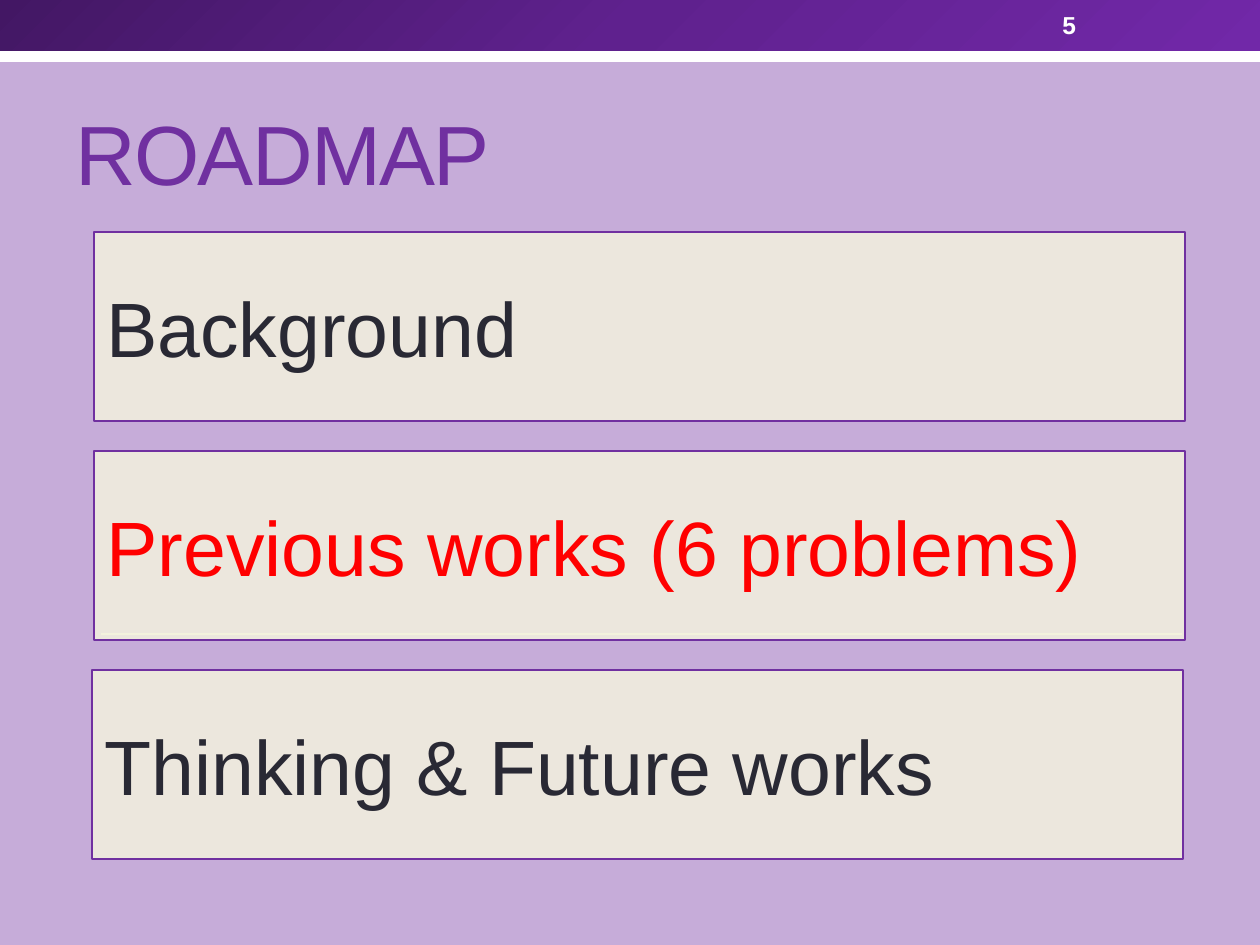
from copy import deepcopy

from lxml.etree import SubElement
from pptx import Presentation
from pptx.dml.color import RGBColor
from pptx.enum.shapes import MSO_CONNECTOR, MSO_SHAPE
from pptx.enum.text import MSO_ANCHOR, PP_ALIGN
from pptx.oxml.ns import qn
from pptx.util import Pt

PX = 914400 / 126
COLORS = {
    "backdrop": "C6ACD9",
    "white": "FFFFFF",
    "band_start": "431764",
    "band_middle": "5F218E",
    "band_end": "7128A8",
    "purple": "7030A0",
    "cream": "F3F2DE",
    "rule": "F3F2DC",
    "ink": "292934",
    "highlight": "FF0000",
}


def color(name):
    return RGBColor.from_string(COLORS[name])


def px(*lengths):
    return [round(length * PX) for length in lengths]


def write(shape, text, hue, anchor, **formats):
    frame = shape.text_frame
    frame.word_wrap = True
    frame.vertical_anchor = anchor
    paragraph = frame.paragraphs[0]
    paragraph.alignment = PP_ALIGN.LEFT
    run = paragraph.add_run()
    run.text = text
    for attribute, value in {"name": "Arial", **formats}.items():
        setattr(run.font, attribute, value)
    run.font.color.rgb = color(hue)
    return run


def add_bar(slide, box):
    bar = slide.shapes.add_shape(MSO_SHAPE.RECTANGLE, *px(*box))
    bar.shadow.inherit = False
    bar.line.fill.background()
    return bar


def add_header(slide, box, number):
    left, top, width, height = box
    stripe = add_bar(slide, (left, top + 30, width, height - 30))
    stripe.fill.solid()
    stripe.fill.fore_color.rgb = color("white")

    band = add_bar(slide, (left, top, width, 51))
    band.fill.gradient()
    band.fill.gradient_angle = 315
    first_stop = band.fill.gradient_stops[0]._gs
    first_stop.addnext(deepcopy(first_stop))
    hues = ("band_start", "band_middle", "band_end")
    for index, (stop, hue) in enumerate(zip(band.fill.gradient_stops, hues)):
        stop.position = index / 2
        stop.color.rgb = color(hue)

    page_number = slide.shapes.add_textbox(*px(left + 1050, top + 2, 147, 46))
    write(page_number, number, "white", MSO_ANCHOR.MIDDLE, size=Pt(14), bold=True)


def add_rule(slide, box):
    left, top, width, height = box
    rule = slide.shapes.add_connector(
        MSO_CONNECTOR.STRAIGHT, *px(left, top, left + width, top + height)
    )
    rule.line.color.rgb = color("rule")
    rule.line.width = Pt(1.5)
    SubElement(rule._element.spPr, qn("a:effectLst"))


def add_title(slide, box, text):
    title = slide.shapes.add_textbox(*px(*box))
    run = write(title, text, "purple", MSO_ANCHOR.BOTTOM, size=Pt(48))
    run.font._element.set("spc", "-100")


def add_topic(slide, box, text, hue):
    topic = slide.shapes.add_shape(MSO_SHAPE.RECTANGLE, *px(*box))
    topic.shadow.inherit = False
    topic.fill.solid()
    topic.fill.fore_color.rgb = color("cream")
    cream = topic._element.spPr.find(qn("a:solidFill")).find(qn("a:srgbClr"))
    SubElement(cream, qn("a:alpha"), val="85000")
    topic.line.color.rgb = color("purple")
    topic.line.width = Pt(1.5)
    write(topic, text, hue, MSO_ANCHOR.MIDDLE, size=Pt(44))


def add_roadmap(slide, box, topics):
    left, top, width, height = box
    topic_height = 189
    pitch = (height - topic_height) / (len(topics) - 1)
    for row, (text, hue, shift) in enumerate(topics):
        topic_box = (left + shift, top + row * pitch, width, topic_height)
        add_topic(slide, topic_box, text, hue)


def main():
    presentation = Presentation()
    presentation.slide_width, presentation.slide_height = px(1260, 945)
    slide = presentation.slides.add_slide(presentation.slide_layouts[6])
    slide.background.fill.solid()
    slide.background.fill.fore_color.rgb = color("backdrop")

    add_header(slide, (0, 0, 1260, 62), "5")
    add_rule(slide, (101, 634, 1081, 0))
    add_title(slide, (63, 73, 1134, 136), "ROADMAP")
    topics = [
        ("Background", "ink", 0),
        ("Previous works (6 problems)", "highlight", 0),
        ("Thinking & Future works", "ink", -2),
    ]
    add_roadmap(slide, (94, 232, 1091, 627), topics)
    presentation.save("out.pptx")


if __name__ == "__main__":
    main()
